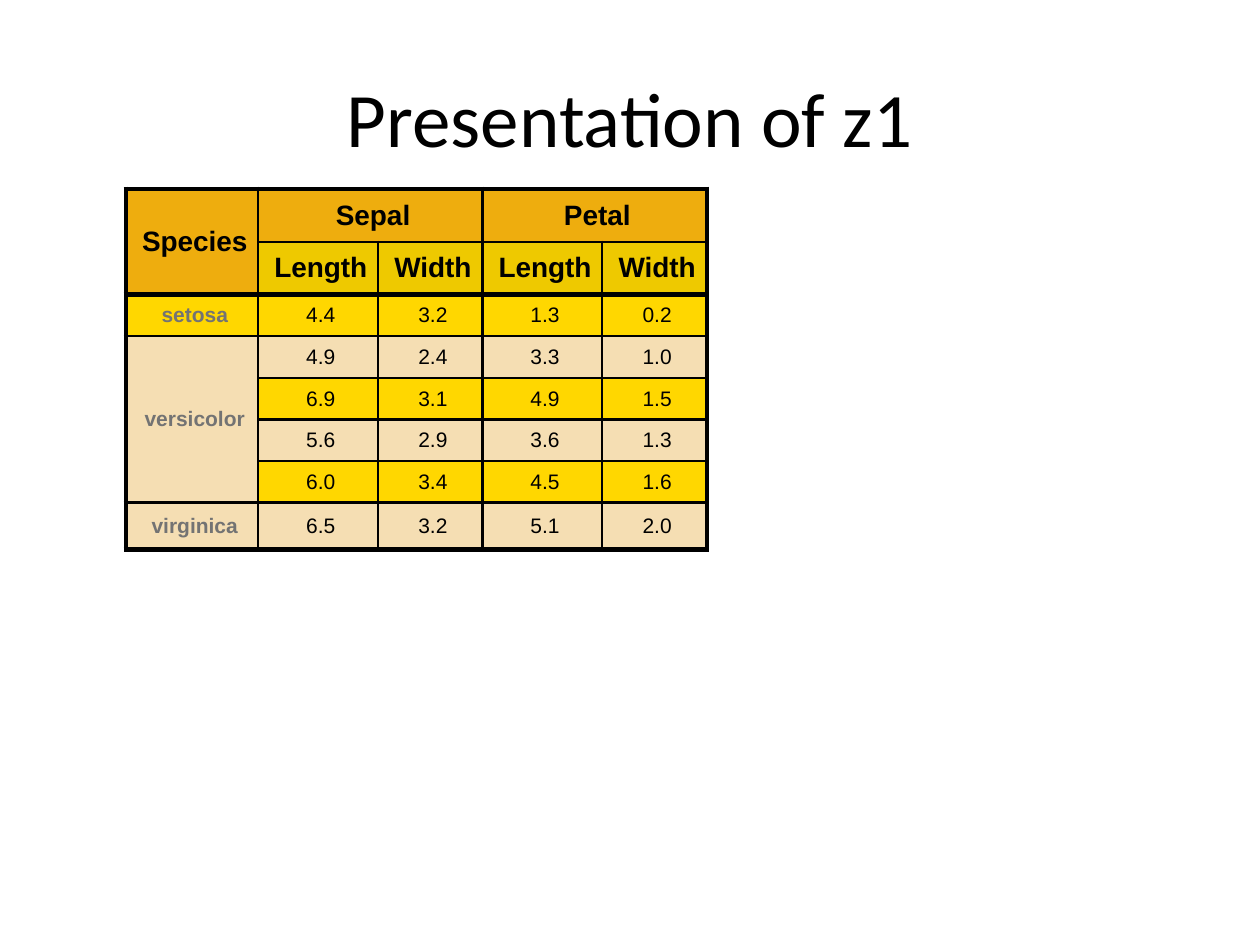
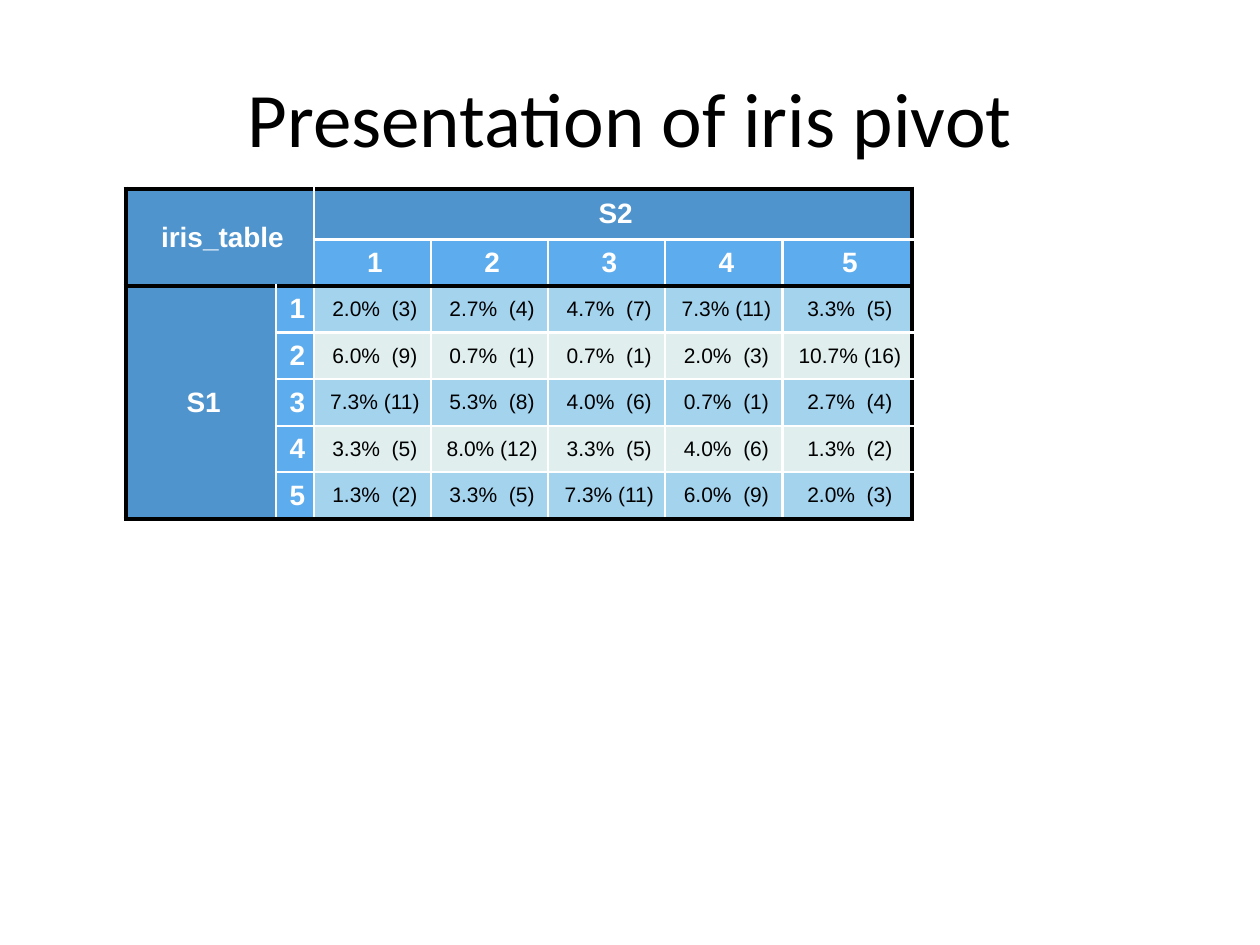
from dataclasses import dataclass

from lxml.etree import SubElement
from pptx import Presentation
from pptx.dml.color import RGBColor
from pptx.enum.text import MSO_ANCHOR, PP_ALIGN
from pptx.oxml.ns import qn
from pptx.util import Inches, Pt

GRID_COLUMNS, GRID_ROWS = 100, 75
TITLE_ONLY_LAYOUT = 5
HEADER_ROWS = 2
BLACK, WHITE, GREY = "000000", "FFFFFF", "737373"
IRIS_SAMPLES = 150


def color(hex_string):
    return RGBColor.from_string(hex_string)


@dataclass
class TableStyle:
    group_fill: str
    header_fill: str
    stripes: tuple
    label_fills: tuple
    inner_line: str
    header_text: str
    label_text: str
    label_size: int


GOLD = TableStyle("EEAD0E", "EEC900", ("FFD700", "F5DEB3"), (None,),
                  BLACK, BLACK, GREY, 12)
BLUE = TableStyle("4F94CD", "5CACEE", ("A4D3EE", "E0EEEE"), ("4F94CD", "5CACEE"),
                  WHITE, WHITE, WHITE, 16)


class Deck:
    title_font, table_font = "Calibri", "Arial"
    title_size, header_size, value_size = 44, 16, 12
    thin_line, thick_line = 1.5, 3
    padding = Pt(3)

    def __init__(self):
        self.presentation = Presentation()
        self.presentation.slide_width = Inches(10)
        self.presentation.slide_height = Inches(7.5)
        self.slide = None

    def across(self, columns):
        return round(self.presentation.slide_width * columns / GRID_COLUMNS)

    def down(self, rows):
        return round(self.presentation.slide_height * rows / GRID_ROWS)

    def add_slide(self, title):
        layout = self.presentation.slide_layouts[TITLE_ONLY_LAYOUT]
        self.slide = self.presentation.slides.add_slide(layout)
        self.slide.shapes.title.text = title
        paragraph = self.slide.shapes.title.text_frame.paragraphs[0]
        paragraph.alignment = PP_ALIGN.CENTER
        paragraph.font.name = self.title_font
        paragraph.font.size = Pt(self.title_size)
        paragraph.font.color.rgb = color(BLACK)

    def add_table(self, rows, widths, heights, merges, style):
        frame = self.slide.shapes.add_table(
            len(rows), len(widths), self.across(10), self.down(15),
            self.across(sum(widths)), self.down(sum(heights)))
        table = frame.table
        table.first_row = table.horz_banding = False
        for column, width in zip(table.columns, widths):
            column.width = self.across(width)
        for row, height in zip(table.rows, heights):
            row.height = self.down(height)
        for first, last in merges:
            table.cell(*first).merge(table.cell(*last))
        thick_rows = {0, HEADER_ROWS, len(rows)}
        thick_columns = {0, len(widths)}
        for row, texts in enumerate(rows):
            for column, text in enumerate(texts):
                cell = table.cell(row, column)
                edges = {"lnL": column in thick_columns,
                         "lnR": column + cell.span_width in thick_columns,
                         "lnT": row in thick_rows,
                         "lnB": row + cell.span_height in thick_rows}
                for edge, thick in edges.items():
                    self.add_border(cell, edge, thick, style.inner_line)
                cell.fill.solid()
                cell.fill.fore_color.rgb = color(self.cell_fill(row, column, style))
                if text:
                    self.write_cell(cell, text, *self.cell_font(row, column, style))

    def cell_fill(self, row, column, style):
        if row < HEADER_ROWS:
            return style.header_fill if row else style.group_fill
        stripe = style.stripes[(row - HEADER_ROWS) % 2]
        if column < len(style.label_fills):
            return style.label_fills[column] or stripe
        return stripe

    def cell_font(self, row, column, style):
        if row < HEADER_ROWS:
            return self.header_size, style.header_text, True
        if column < len(style.label_fills):
            return style.label_size, style.label_text, True
        return self.value_size, BLACK, False

    def add_border(self, cell, edge, thick, inner_color):
        points = self.thick_line if thick else self.thin_line
        properties = cell._tc.get_or_add_tcPr()
        line = SubElement(properties, qn(f"a:{edge}"), w=str(Pt(points)))
        fill = SubElement(line, qn("a:solidFill"))
        SubElement(fill, qn("a:srgbClr"), val=BLACK if thick else inner_color)

    def write_cell(self, cell, text, size, text_color, bold):
        cell.text = text
        cell.vertical_anchor = MSO_ANCHOR.MIDDLE
        cell.margin_left = cell.margin_right = 0
        cell.margin_top = cell.margin_bottom = 0
        paragraph = cell.text_frame.paragraphs[0]
        paragraph.alignment = PP_ALIGN.CENTER
        paragraph.space_before = paragraph.space_after = self.padding
        properties = paragraph._p.get_or_add_pPr()
        properties.set("marL", str(self.padding))
        properties.set("indent", "0")
        paragraph.font.name = self.table_font
        paragraph.font.size = Pt(size)
        paragraph.font.bold = bold
        paragraph.font.color.rgb = color(text_color)


def add_species_slide(deck):
    measurements = [
        ("setosa", "4.4", "3.2", "1.3", "0.2"),
        ("versicolor", "4.9", "2.4", "3.3", "1.0"),
        ("", "6.9", "3.1", "4.9", "1.5"),
        ("", "5.6", "2.9", "3.6", "1.3"),
        ("", "6.0", "3.4", "4.5", "1.6"),
        ("virginica", "6.5", "3.2", "5.1", "2.0"),
    ]
    header = [("Species", "Sepal", "", "Petal", ""),
              ("", *["Length", "Width"] * 2)]
    merges = [((0, 0), (1, 0)), ((0, 1), (0, 2)), ((0, 3), (0, 4)), ((3, 0), (6, 0))]
    deck.add_slide("Presentation of z1")
    deck.add_table(header + measurements, [10.5] + [9.5, 8.3] * 2,
                   [4.2] * 2 + [3.3] * 5 + [3.7], merges, GOLD)


def share_and_count(count):
    return f"{count / IRIS_SAMPLES:.1%} {f'({count})':>4}"


def add_pivot_slide(deck):
    counts = [
        (3, 4, 7, 11, 5),
        (9, 1, 1, 3, 16),
        (11, 8, 6, 1, 4),
        (5, 12, 5, 6, 2),
        (2, 5, 11, 9, 3),
    ]
    levels = [str(level) for level in range(1, 6)]
    header = [("iris_table", "", "S2", *[""] * 4), ("", "", *levels)]
    body = [("" if index else "S1", levels[index], *map(share_and_count, row))
            for index, row in enumerate(counts)]
    merges = [((0, 0), (1, 1)), ((0, 2), (0, 6)), ((2, 0), (6, 0))]
    deck.add_slide("Presentation of iris pivot")
    deck.add_table(header + body, [11.9, 3] + [9.3] * 4 + [10.3],
                   [4] + [3.7] * 6, merges, BLUE)


def main():
    deck = Deck()
    add_species_slide(deck)
    add_pivot_slide(deck)
    deck.presentation.save("out.pptx")


if __name__ == "__main__":
    main()
